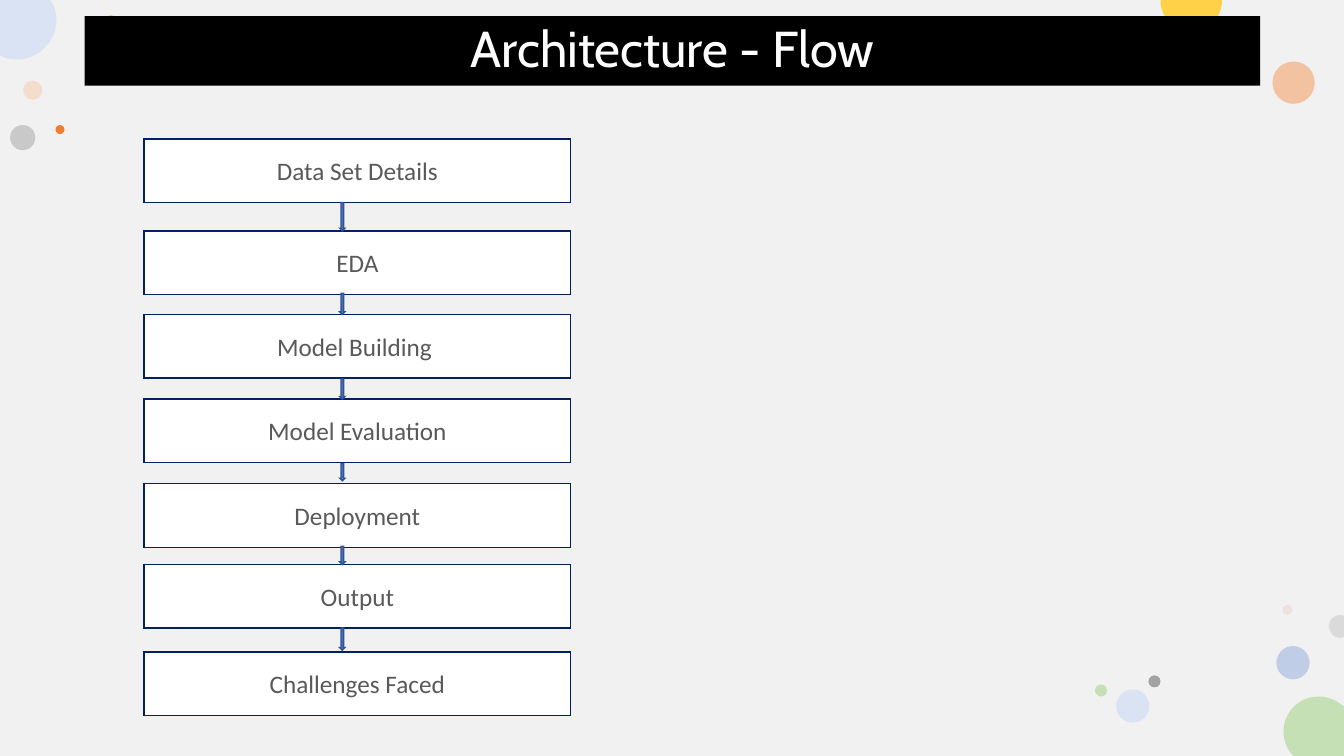
from lxml.etree import SubElement
from pptx import Presentation
from pptx.dml.color import RGBColor
from pptx.enum.shapes import MSO_SHAPE
from pptx.enum.text import MSO_ANCHOR, PP_ALIGN
from pptx.oxml.ns import qn
from pptx.util import Inches, Pt

SLIDE_WIDTH, SLIDE_HEIGHT = 13.33, 7.5


def color(value):
    return RGBColor.from_string(value)


class SlideBuilder:
    body_font = "Calibri"
    title_font = "Cabin"
    box_line = "002060"
    box_text = "595959"
    arrow_fill = "4472C4"
    arrow_line = "325491"

    def __init__(self, slide):
        self.slide = slide

    def background(self, base, cover):
        self.slide.background.fill.solid()
        self.slide.background.fill.fore_color.rgb = color(base)
        self.shape(MSO_SHAPE.RECTANGLE, 0, 0, SLIDE_WIDTH, SLIDE_HEIGHT, cover)

    def paint(self, shape, fill, line=None, opacity=100):
        shape.shadow.inherit = False
        shape.fill.solid()
        shape.fill.fore_color.rgb = color(fill)
        if opacity < 100:
            tint = shape.fill._xPr.find(".//" + qn("a:srgbClr"))
            SubElement(tint, qn("a:alpha"), val=str(opacity * 1000))
        if line:
            shape.line.color.rgb = color(line)
            shape.line.width = Pt(1)
            SubElement(shape.line._get_or_add_ln(), qn("a:miter"), lim="800000")
        else:
            shape.line.fill.background()

    def shape(self, kind, left, top, width, height, fill, line=None, opacity=100):
        shape = self.slide.shapes.add_shape(
            kind, Inches(left), Inches(top), Inches(width), Inches(height))
        self.paint(shape, fill, line, opacity)
        return shape

    def dot(self, left, top, size, fill, opacity=100):
        self.shape(MSO_SHAPE.OVAL, left, top, size, size, fill, opacity=opacity)

    def edge_circle(self, fill, start, *segments):
        points = [(Inches(x), Inches(y)) for segment in segments for x, y in segment]
        freeform = self.slide.shapes.build_freeform(Inches(start[0]), Inches(start[1]))
        freeform.add_line_segments(points, close=True)
        shape = freeform.convert_to_shape()
        outline = shape._element.find(".//" + qn("a:path"))
        lines = iter(outline.findall(qn("a:lnTo")))
        for segment in segments:
            pieces = [next(lines) for _ in segment]
            if len(segment) == 3:
                curve = SubElement(outline, qn("a:cubicBezTo"))
                pieces[0].addprevious(curve)
                for piece in pieces:
                    curve.append(piece[0])
                    outline.remove(piece)
        self.paint(shape, fill)

    def text(self, shape, words, font, size, text_color, line_spacing=1.0):
        frame = shape.text_frame
        frame.word_wrap = True
        frame.vertical_anchor = MSO_ANCHOR.MIDDLE
        paragraph = frame.paragraphs[0]
        paragraph.alignment = PP_ALIGN.CENTER
        paragraph.line_spacing = line_spacing
        run = paragraph.add_run()
        run.text = words
        run.font.name = font
        run.font.size = Pt(size)
        run.font.color.rgb = color(text_color)

    def title(self, words):
        banner = self.shape(MSO_SHAPE.RECTANGLE, 0.84, 0.16, 11.66, 0.69, "000000")
        self.text(banner, words, self.title_font, 36, "FFFFFF", 0.9)

    def step(self, words, top):
        box = self.shape(MSO_SHAPE.RECTANGLE, 1.43, top, 4.23, 0.63,
                         "FFFFFF", self.box_line)
        self.text(box, words, self.body_font, 18, self.box_text)

    def arrow(self, top, height):
        self.shape(MSO_SHAPE.DOWN_ARROW, 3.37, top, 0.05, height,
                   self.arrow_fill, self.arrow_line)


DOTS = [
    (0.23, 0.8, 0.19, "F8CBAD", 50),
    (1.04, 0.15, 0.12, "F39E29", 50),
    (12.66, 6.41, 0.33, "8FAADC", 50),
    (0.1, 1.24, 0.25, "A3A3A3", 50),
    (12.62, 0.61, 0.42, "F4B183", 72),
    (12.72, 6, 0.1, "E3BEBE", 28),
    (11.39, 6.7, 0.12, "A3A3A3"),
    (11.07, 6.84, 0.33, "DAE3F3"),
    (10.86, 6.79, 0.12, "C5E0B4"),
    (0.55, 1.24, 0.09, "ED7D31"),
]
EDGE_CIRCLES = [
    ("C5E0B4", (13.08, 6.91),
     [(13.18, 6.91), (13.26, 6.95), (13.33, 7.01)],
     [(13.33, 7.5)], [(12.83, 7.5)], [(12.81, 7.48)],
     [(12.76, 7.42), (12.73, 7.34), (12.73, 7.26)],
     [(12.73, 7.06), (12.89, 6.91), (13.08, 6.91)]),
    ("DAE3F3", (0, 0),
     [(0.5, 0)], [(0.53, 0.05)],
     [(0.55, 0.09), (0.56, 0.14), (0.56, 0.2)],
     [(0.56, 0.41), (0.38, 0.59), (0.17, 0.59)],
     [(0.11, 0.59), (0.06, 0.58), (0.02, 0.56)],
     [(0, 0.55)]),
    ("FFD149", (11.52, 0),
     [(12.12, 0)], [(12.12, 0.01)],
     [(12.12, 0.17), (11.98, 0.31), (11.82, 0.31)],
     [(11.65, 0.31), (11.51, 0.17), (11.51, 0.01)]),
    ("DADADA", (13.29, 6.1),
     [(13.33, 6.11)], [(13.33, 6.32)], [(13.29, 6.33)],
     [(13.23, 6.33), (13.18, 6.28), (13.18, 6.21)],
     [(13.18, 6.15), (13.23, 6.1), (13.29, 6.1)]),
]
STEPS = [
    ("Data Set Details", 1.38),
    ("EDA", 2.29),
    ("Model Building ", 3.12),
    ("Model Evaluation", 3.96),
    ("Deployment", 4.8),
    ("Output", 5.6),
    ("Challenges Faced", 6.47),
]
ARROWS = [(2.01, 0.28), (2.91, 0.21), (3.76, 0.2),
          (4.6, 0.17), (5.42, 0.18), (6.23, 0.22)]

presentation = Presentation()
presentation.slide_width = Inches(SLIDE_WIDTH)
presentation.slide_height = Inches(SLIDE_HEIGHT)
builder = SlideBuilder(presentation.slides.add_slide(presentation.slide_layouts[6]))

builder.background("000000", "F2F1F1")
for dot in DOTS:
    builder.dot(*dot)
for circle in EDGE_CIRCLES:
    builder.edge_circle(*circle)
builder.title("Architecture - Flow")
for step in STEPS:
    builder.step(*step)
for arrow in ARROWS:
    builder.arrow(*arrow)

presentation.save("out.pptx")
